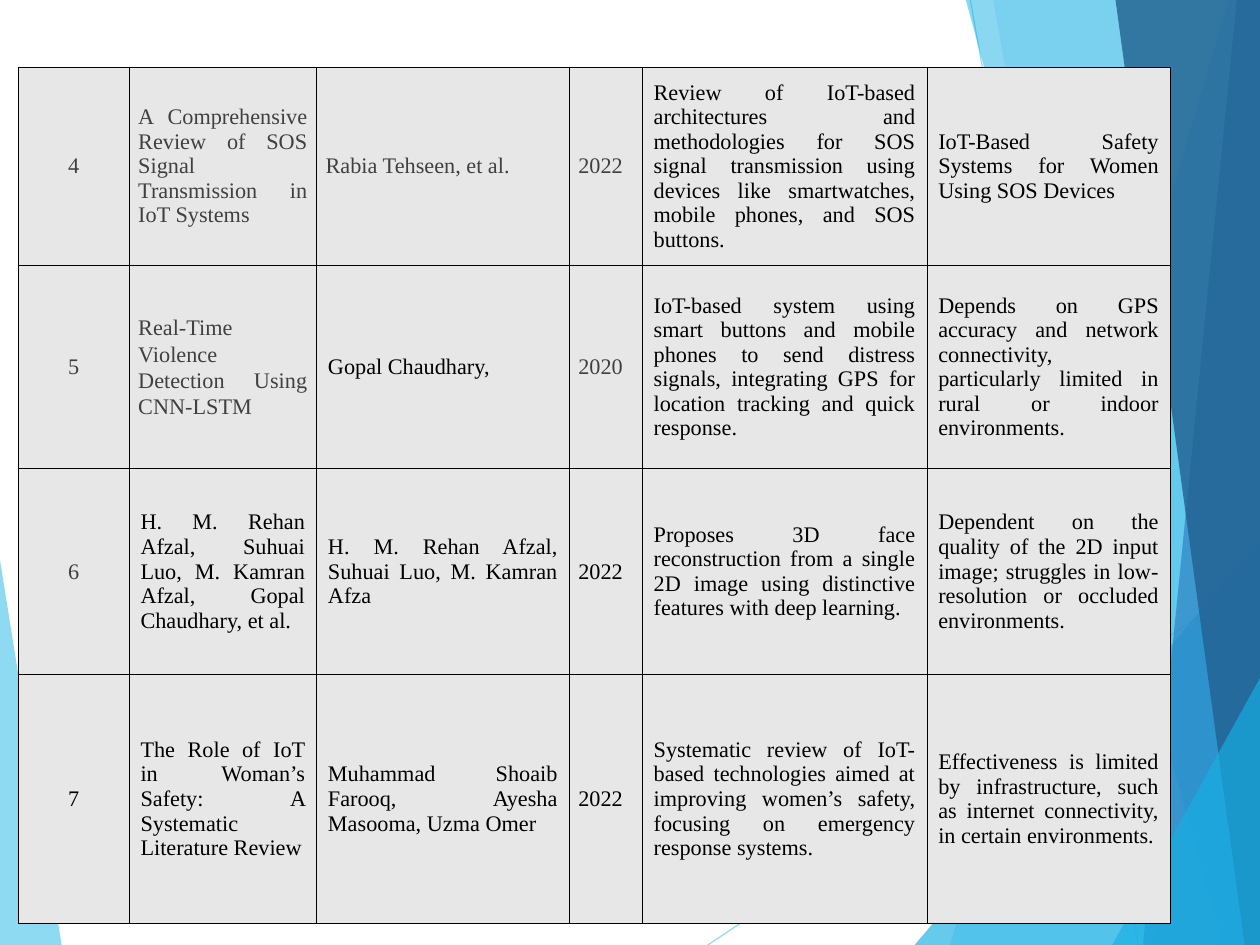
from lxml import etree
from pptx import Presentation
from pptx.dml.color import RGBColor as RGB
from pptx.enum.shapes import MSO_CONNECTOR as CONN
from pptx.enum.text import MSO_ANCHOR as ANCHOR, PP_ALIGN as ALIGN
from pptx.oxml import parse_xml
from pptx.oxml.ns import nsdecls, qn
from pptx.util import Cm, Inches, Pt

RIGHT, BOTTOM = 11.03, 8.27
FONT = "Times New Roman"
COLORS = {
    "sky": "5FCBEF", "cyan": "17B0E4", "blue": "2E83C3", "navy": "236292",
    "cell": "E7E7E7", "black": "000000", "gray": "404040",
}
CORNERS = [(RIGHT, BOTTOM), (RIGHT, 0)]
FACETS = [
    ([(10.75, 0), (8.31, BOTTOM), *CORNERS], "sky", 36),
    ([(8.69, 0), (10.14, BOTTOM), *CORNERS], "sky", 20),
    ([(8, BOTTOM), (RIGHT, 4.73), (RIGHT, BOTTOM)], "cyan", 66),
    ([(8.45, 0), (10.69, BOTTOM), *CORNERS], "cyan", 50),
    ([(10.82, 0), (10, BOTTOM), *CORNERS], "blue", 70),
    ([(9.76, 0), (10.89, BOTTOM), *CORNERS], "navy", 82),
    ([(9.73, BOTTOM), (RIGHT, 5.92), (RIGHT, BOTTOM)], "cyan", 66),
]
COLS = [0.97, 1.64, 2.21, 0.64, 2.49, 2.13]
ROWS = [1.73, 1.78, 1.8, 2.18]
PAPERS = [
    ["4", "A Comprehensive Review of SOS Signal Transmission in IoT Systems",
     "Rabia Tehseen, et al.", "2022",
     "Review of IoT-based architectures and methodologies for SOS signal transmission "
     "using devices like smartwatches, mobile phones, and SOS buttons.",
     "IoT-Based Safety Systems for Women Using SOS Devices"],
    ["5", "Real-Time Violence Detection Using CNN-LSTM", "Gopal Chaudhary,", "2020",
     "IoT-based system using smart buttons and mobile phones to send distress signals, "
     "integrating GPS for location tracking and quick response.",
     "Depends on GPS accuracy and network connectivity, particularly limited in rural "
     "or indoor environments."],
    ["6", "H. M. Rehan Afzal, Suhuai Luo, M. Kamran Afzal, Gopal Chaudhary, et al.",
     "H. M. Rehan Afzal, Suhuai Luo, M. Kamran Afza", "2022",
     "Proposes 3D face reconstruction from a single 2D image using distinctive features "
     "with deep learning.",
     "Dependent on the quality of the 2D input image; struggles in low-resolution or "
     "occluded environments."],
    ["7", "The Role of IoT in Woman’s Safety: A Systematic Literature Review",
     "Muhammad Shoaib Farooq, Ayesha Masooma, Uzma Omer", "2022",
     "Systematic review of IoT-based technologies aimed at improving women’s safety, "
     "focusing on emergency response systems.",
     "Effectiveness is limited by infrastructure, such as internet connectivity, in "
     "certain environments."],
]
GRAY_COLS = [(0, 1, 2, 3), (0, 1, 3), (0,), ()]
NARROW_COLS = (0, 3)
LOOSE_CELL = (1, 1)


class SlideBuilder:
    def __init__(self, slide):
        self.s = slide

    def paint(self, fill, color, alpha=100):
        fill.solid()
        fill.fore_color.rgb = RGB.from_string(COLORS[color])
        if alpha < 100:
            clr = fill._xPr.find(".//" + qn("a:srgbClr"))
            etree.SubElement(clr, qn("a:alpha"), val=str(alpha * 1000))

    def facet(self, points, color, alpha):
        pts = [(Inches(x), Inches(y)) for x, y in points]
        fb = self.s.shapes.build_freeform(*pts[0])
        fb.add_line_segments(pts[1:], close=True)
        sp = fb.convert_to_shape()
        sp.shadow.inherit = False
        self.paint(sp.fill, color, alpha)
        sp.line.fill.background()

    def line(self, x1, y1, x2, y2, color, alpha):
        cn = self.s.shapes.add_connector(
            CONN.STRAIGHT, Inches(x1), Inches(y1), Inches(x2), Inches(y2))
        cn.line.width = Pt(0.75)
        self.paint(cn.line.fill, color, alpha)
        etree.SubElement(cn._element.spPr, qn("a:effectLst"))

    def borders(self, cell):
        tcPr = cell._tc.get_or_add_tcPr()
        for i, side in enumerate("LRTB"):
            tcPr.insert(i, parse_xml(
                f'<a:ln{side} {nsdecls("a")} w="{Pt(0.45)}"><a:solidFill>'
                f'<a:srgbClr val="{COLORS["black"]}"/></a:solidFill></a:ln{side}>'))

    def cell(self, cell, text, row, col):
        gray = col in GRAY_COLS[row]
        narrow = gray or col in NARROW_COLS
        cell.vertical_anchor = ANCHOR.MIDDLE
        cell.margin_left = cell.margin_right = Inches(0.08 if narrow else 0.1)
        cell.margin_top = cell.margin_bottom = Inches(0.05)
        self.borders(cell)
        self.paint(cell.fill, "cell")
        cell.text = text
        p = cell.text_frame.paragraphs[0]
        p.alignment = ALIGN.JUSTIFY if col else ALIGN.CENTER
        if (row, col) == LOOSE_CELL:
            p.line_spacing = 1.07
            p.space_after = Pt(8)
        p.font.name = FONT
        p.font.size = Pt(14)
        p.font.color.rgb = RGB.from_string(COLORS["gray" if gray else "black"])

    def table(self, left, top, rows):
        tbl = self.s.shapes.add_table(
            len(ROWS), len(COLS), Inches(left), Inches(top),
            Inches(sum(COLS)), Inches(sum(ROWS))).table
        tbl.first_row = tbl.horz_banding = False
        for column, width in zip(tbl.columns, COLS):
            column.width = Inches(width)
        for row, height in zip(tbl.rows, ROWS):
            row.height = Inches(height)
        for i, row in enumerate(rows):
            for j, text in enumerate(row):
                self.cell(tbl.cell(i, j), text, i, j)


def main():
    prs = Presentation()
    prs.slide_width, prs.slide_height = Cm(28), Cm(21)
    b = SlideBuilder(prs.slides.add_slide(prs.slide_layouts[6]))
    b.facet([(0, 4.9), (0.54, BOTTOM), (0, BOTTOM)], "sky", 70)
    b.line(6.19, BOTTOM, RIGHT, 5.03, "sky", 70)
    b.line(8.49, 0, 9.96, BOTTOM, "sky", 70)
    for points, color, alpha in FACETS:
        b.facet(points, color, alpha)
    b.table(0.16, 0.59, PAPERS)
    prs.save("out.pptx")


if __name__ == "__main__":
    main()
